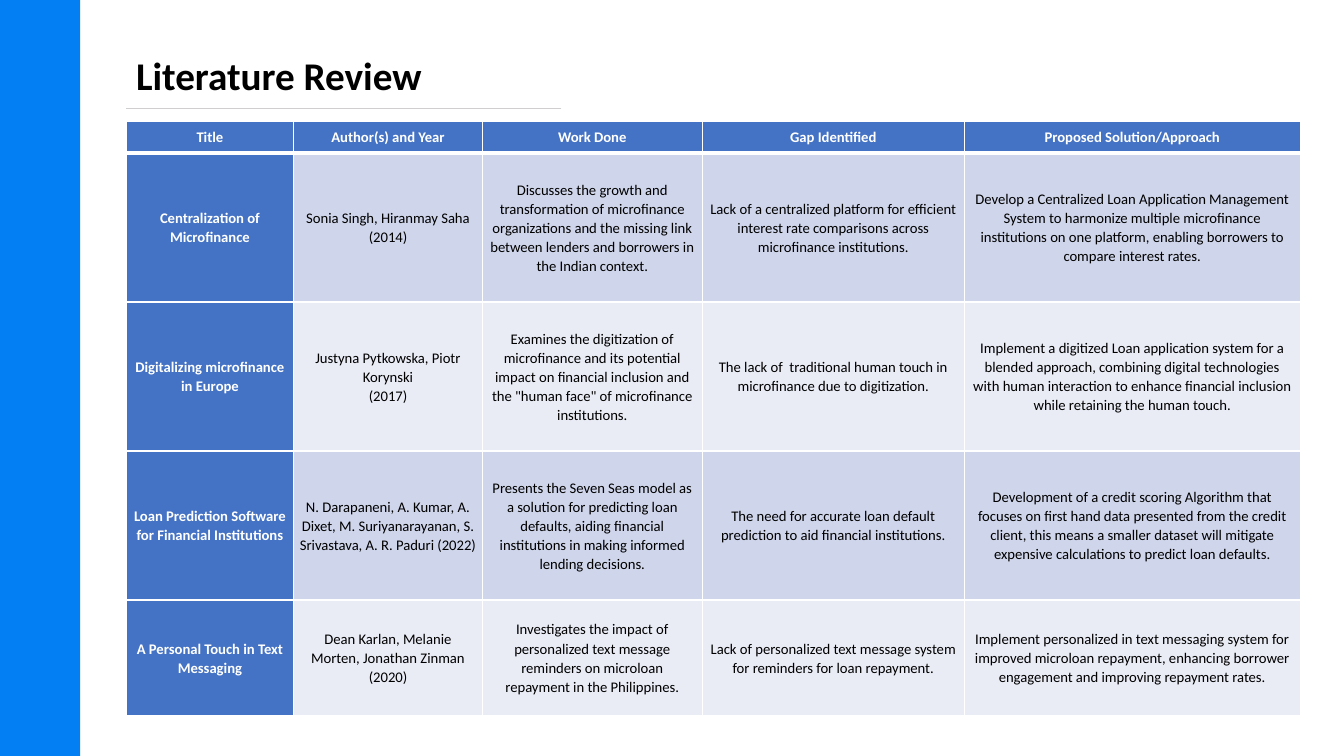
from lxml import etree
from pptx import Presentation
from pptx.dml.color import RGBColor
from pptx.enum.shapes import MSO_CONNECTOR, MSO_SHAPE
from pptx.enum.text import MSO_ANCHOR, MSO_AUTO_SIZE, PP_ALIGN
from pptx.oxml.ns import qn
from pptx.util import Cm, Pt

RECT = MSO_SHAPE.RECTANGLE
LINE = MSO_CONNECTOR.STRAIGHT
MID = MSO_ANCHOR.MIDDLE
CENTER = PP_ALIGN.CENTER
GROW = MSO_AUTO_SIZE.SHAPE_TO_FIT_TEXT

WHITE = RGBColor(0xFF, 0xFF, 0xFF)
BLACK = RGBColor(0, 0, 0)
AZURE = RGBColor(0x03, 0x7F, 0xF3)
GREY = RGBColor(0xD0, 0xCE, 0xCE)
BLUE = RGBColor(0x44, 0x72, 0xC4)
BANDS = RGBColor(0xCF, 0xD5, 0xEA), RGBColor(0xE9, 0xEB, 0xF5)

FONT = "Calibri"
TITLE = {"name": FONT, "size": Pt(28), "bold": True}
HEAD = {"name": FONT, "size": Pt(10.5), "bold": True}
BODY = {**HEAD, "bold": False}
CELL = {"margin_left": Cm(0.15), "margin_right": Cm(0.15),
        "margin_top": 0, "margin_bottom": 0, "vertical_anchor": MID}

COLS = 4.22, 4.75, 5.54, 6.6, 8.46
ROWS = 0.81, 3.76, 3.76, 3.76, 2.92

# A vertical tab is a line break inside a cell
PAPERS = [
    ["Title", "Author(s) and Year", "Work Done", "Gap Identified",
     "Proposed Solution/Approach"],
    ["Centralization of Microfinance",
     "Sonia Singh, Hiranmay Saha (2014)",
     "Discusses the growth and transformation of microfinance organizations "
     "and the missing link between lenders and borrowers in the Indian "
     "context.",
     "Lack of a centralized platform for efficient interest rate comparisons "
     "across microfinance institutions.",
     "Develop a Centralized Loan Application Management System to harmonize "
     "multiple microfinance institutions on one platform, enabling borrowers "
     "to compare interest rates."],
    ["Digitalizing microfinance in Europe",
     "Justyna Pytkowska, Piotr Korynski\v(2017)",
     "Examines the digitization of microfinance and its potential impact on "
     "financial inclusion and the \"human face\" of microfinance "
     "institutions.",
     "The lack of  traditional human touch in microfinance due to "
     "digitization.",
     "Implement a digitized Loan application system for a blended approach, "
     "combining digital technologies with human interaction to enhance "
     "financial inclusion while retaining the human touch."],
    ["Loan Prediction Software for Financial Institutions",
     "N. Darapaneni, A. Kumar, A. Dixet, M. Suriyanarayanan, S. Srivastava, "
     "A. R. Paduri (2022)",
     "Presents the Seven Seas model as a solution for predicting loan "
     "defaults, aiding financial institutions in making informed lending "
     "decisions.",
     "The need for accurate loan default prediction to aid financial "
     "institutions.",
     "Development of a credit scoring Algorithm that focuses on first hand "
     "data presented from the credit client, this means a smaller dataset "
     "will mitigate expensive calculations to predict loan defaults."],
    ["A Personal Touch in Text Messaging",
     "Dean Karlan, Melanie Morten, Jonathan Zinman (2020)",
     "Investigates the impact of personalized text message reminders on "
     "microloan repayment in the Philippines.",
     "Lack of personalized text message system for reminders for loan "
     "repayment.",
     "Implement personalized in text messaging system for improved microloan "
     "repayment, enhancing borrower engagement and improving repayment "
     "rates."],
]


def style(item, form):
    for key, value in form.items():
        setattr(item, key, value)


def write(para, text, form, color):
    para.text = text
    for run in para.runs:
        style(run.font, form)
        run.font.color.rgb = color
    # Line breaks carry their own text size
    for gap in para._p.findall(qn("a:br")):
        etree.SubElement(gap, qn("a:rPr"), sz=str(int(form["size"].pt * 100)))


def edge(cell, widths):
    props = cell._tc.get_or_add_tcPr()
    for side, width in widths.items():
        line = etree.SubElement(props, qn("a:ln" + side), w=str(Pt(width)))
        fill = etree.SubElement(line, qn("a:solidFill"))
        etree.SubElement(fill, qn("a:srgbClr"), val=str(WHITE))


def add_bar(slide, left, top, width, height):
    bar = slide.shapes.add_shape(RECT, Cm(left), Cm(top), Cm(width), Cm(height))
    bar.shadow.inherit = False
    bar.fill.solid()
    bar.fill.fore_color.rgb = AZURE
    bar.line.fill.background()


def add_title(slide, left, top, width, height):
    box = slide.shapes.add_textbox(Cm(left), Cm(top), Cm(7.8), Cm(1.85))
    style(box.text_frame, {"word_wrap": False, "auto_size": GROW})
    para = box.text_frame.paragraphs[0]
    para.line_spacing = 1.5
    write(para, "Literature Review", TITLE, BLACK)
    # Rule along the bottom of the region
    base = Cm(top + height)
    rule = slide.shapes.add_connector(LINE, Cm(left + width), base,
                                      Cm(left), base)
    rule.line.color.rgb = GREY
    rule.line.width = Pt(0.5)
    etree.SubElement(rule._element.spPr, qn("a:effectLst"))


def add_grid(slide, left, top, width, height):
    grid = slide.shapes.add_table(len(ROWS), len(COLS), Cm(left), Cm(top),
                                  Cm(width), Cm(height)).table
    for col, part in zip(grid.columns, COLS):
        col.width = Cm(width * part / sum(COLS))
    for row, part in zip(grid.rows, ROWS):
        row.height = Cm(height * part / sum(ROWS))
    for r, texts in enumerate(PAPERS):
        for c, text in enumerate(texts):
            cell = grid.cell(r, c)
            head = r == 0 or c == 0
            style(cell, CELL)
            # Borders come before the fill; the heading has a thick base
            edge(cell, {"L": 1, "R": 1, "T": 3 if r == 1 else 1,
                        "B": 3 if r == 0 else 1})
            cell.fill.solid()
            cell.fill.fore_color.rgb = BLUE if head else BANDS[(r - 1) % 2]
            para = cell.text_frame.paragraphs[0]
            style(para, {"alignment": CENTER, "line_spacing": 1.07})
            write(para, text, HEAD if head else BODY, WHITE if head else BLACK)


deck = Presentation()
style(deck, {"slide_width": Cm(33.87), "slide_height": Cm(19.05)})
page = deck.slides.add_slide(deck.slide_layouts[6])
add_bar(page, 0, 0, 2.02, 19.05)
add_title(page, 3.18, 0.58, 10.97, 2.14)
add_grid(page, 3.18, 3.05, 29.59, 14.99)
deck.save("out.pptx")
